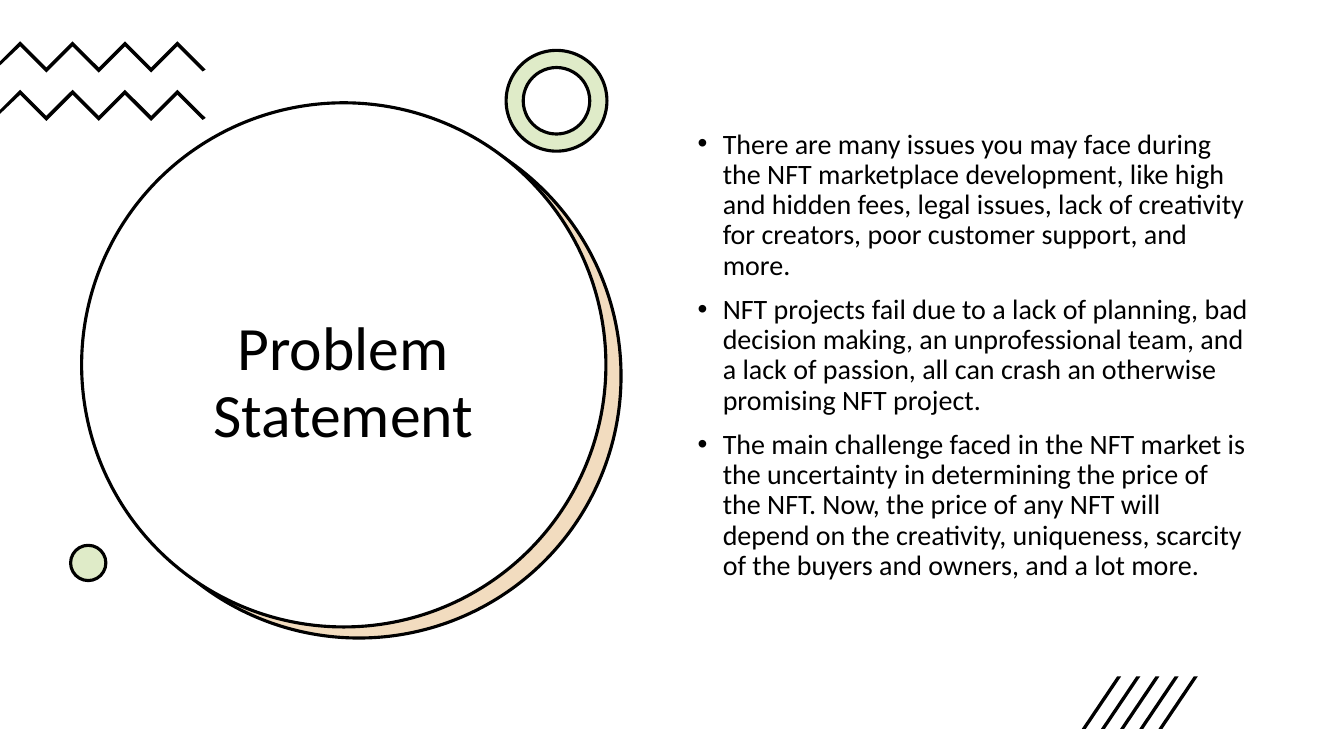
from lxml import etree
from pptx import Presentation
from pptx.dml.color import RGBColor
from pptx.enum.shapes import MSO_SHAPE
from pptx.enum.text import MSO_ANCHOR, PP_ALIGN
from pptx.oxml.ns import qn
from pptx.util import Inches, Pt

RECT, OVAL, DONUT = MSO_SHAPE.RECTANGLE, MSO_SHAPE.OVAL, MSO_SHAPE.DONUT
TOP, MIDDLE = MSO_ANCHOR.TOP, MSO_ANCHOR.MIDDLE
LEFT, CENTER = PP_ALIGN.LEFT, PP_ALIGN.CENTER

COLORS = {"ink": "000000", "paper": "FFFFFF", "sand": "D58C2E", "leaf": "97BE49"}
POINTS = [
    "There are many issues you may face during the NFT marketplace development, like high and hidden fees, legal issues, lack of creativity for creators, poor customer support, and more.",
    "NFT projects fail due to a lack of planning, bad decision making, an unprofessional team, and a lack of passion, all can crash an otherwise promising NFT project.",
    "The main challenge faced in the NFT market is the uncertainty in determining the price of the NFT. Now, the price of any NFT will depend on the creativity, uniqueness, scarcity of the buyers and owners, and a lot more.",
]

deck = Presentation()
deck.slide_width, deck.slide_height = Inches(13.33), Inches(7.5)
slide = deck.slides.add_slide(deck.slide_layouts[6])
shapes = slide.shapes
slide.background.fill.solid()
slide.background.fill.fore_color.rgb = RGBColor.from_string(COLORS["ink"])


def paint(shape, fill, line=None, alpha=None):
    shape.shadow.inherit = False
    shape.fill.solid()
    shape.fill.fore_color.rgb = RGBColor.from_string(COLORS[fill])
    if alpha:
        tint = shape.fill._xPr.find(qn("a:solidFill"))[0]
        etree.SubElement(tint, qn("a:alpha"), val=str(alpha * 1000))
    if line:
        shape.line.color.rgb = RGBColor.from_string(COLORS[line])
        shape.line.width = Pt(2.25)
    else:
        shape.line.fill.background()


def write(lines, box, size, align=LEFT, anchor=TOP, before=0, bullet=None):
    frame = shapes.add_textbox(*map(Inches, box)).text_frame
    frame.word_wrap = True
    frame.vertical_anchor = anchor
    for i, text in enumerate(lines):
        para = frame.paragraphs[0] if i == 0 else frame.add_paragraph()
        para.alignment = align
        para.line_spacing = 0.9
        para.space_before = Pt(before)
        run = para.add_run()
        run.text = text
        run.font.name = "Calibri"
        run.font.size = Pt(size)
        run.font.color.rgb = RGBColor.from_string(COLORS["ink"])
        if bullet:
            props = para._p.get_or_add_pPr()
            props.set("marL", str(Inches(0.25)))
            props.set("indent", str(Inches(-0.25)))
            etree.SubElement(props, qn("a:buFont"), typeface="Arial")
            etree.SubElement(props, qn("a:buChar"), char=bullet)


for kind, left, top, width, height, fill, line, alpha in [
    (RECT, 0, 0, 13.33, 7.5, "paper", None, None),
    (OVAL, 0.97, 1.14, 5.2, 5.2, "paper", None, None),
    (OVAL, 0.96, 1.13, 5.2, 5.2, "sand", "ink", 30),
    (OVAL, 0.81, 1.02, 5.2, 5.2, "paper", "ink", None),
    (DONUT, 5.02, 0.5, 1, 1, "paper", "paper", None),
    (DONUT, 5.02, 0.5, 1, 1, "leaf", "ink", 30),
    (OVAL, 0.7, 5.41, 0.35, 0.35, "paper", "paper", None),
    (OVAL, 0.7, 5.41, 0.35, 0.35, "leaf", "ink", 30),
]:
    shape = shapes.add_shape(kind, *map(Inches, (left, top, width, height)))
    if kind == DONUT:
        shape.adjustments[0] = 0.17
    paint(shape, fill, line, alpha)

outlines = []
for top in (41, 89):
    bends = [(20 + 26 * i, top + 26 * (i % 2)) for i in range(7)]
    under = [(x, y + 5) for x, y in reversed(bends)]
    outlines.append(bends + [(204, top + 28), (201, top + 30)] + under
                    + [(0, top + 24), (0, top + 20)])
for i in range(5):
    x = 1073 + 19 * i
    outlines.append([(x + 4, 723), (x, 723), (x + 35, 671), (x + 39, 671)])
for first, *rest in outlines:
    pen = shapes.build_freeform(*first, scale=Inches(0.01))
    pen.add_line_segments(rest, close=True)
    paint(pen.convert_to_shape(), "ink")

write(["Problem Statement"], (1.2, 2.05, 4.41, 3.52), 44, align=CENTER, anchor=MIDDLE)
write(POINTS, (6.82, 1.24, 5.69, 4.76), 20, before=10, bullet="•")

deck.save("out.pptx")
